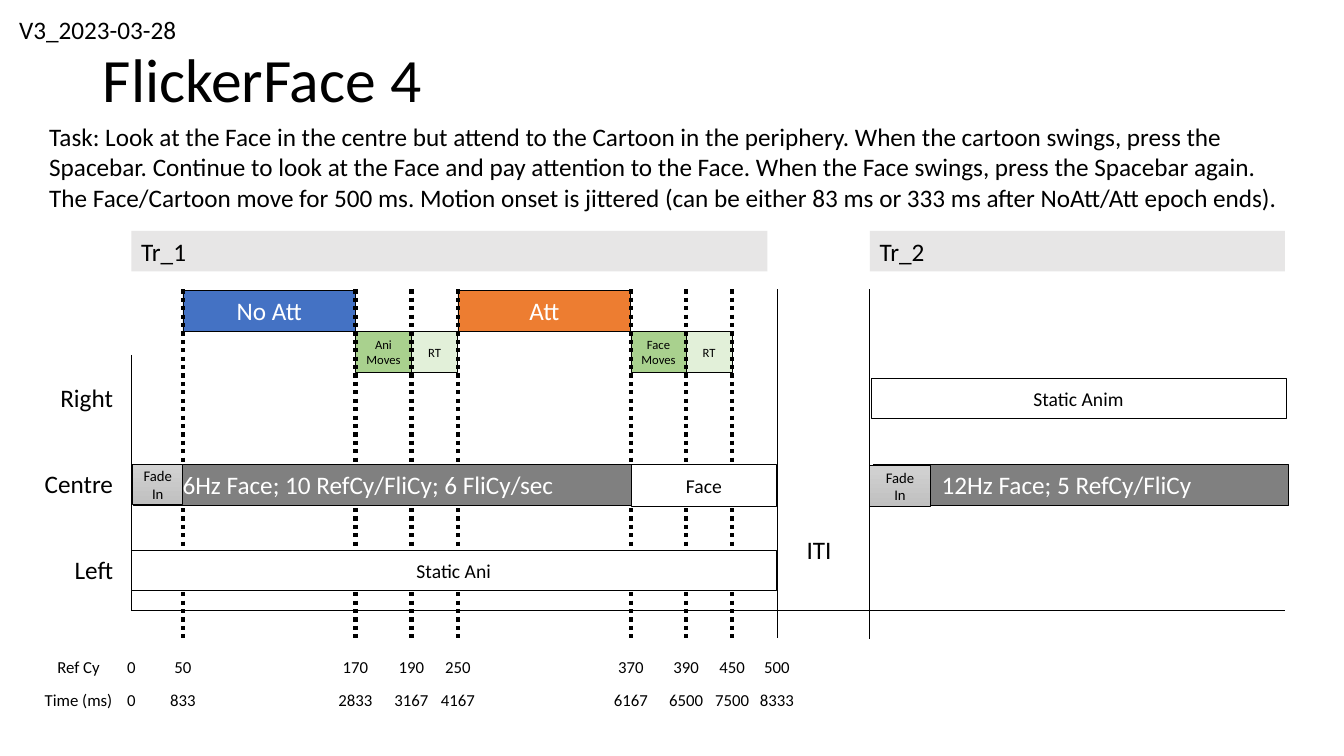
from dataclasses import dataclass

from lxml import etree
from pptx import Presentation
from pptx import util as u
from pptx.dml import color
from pptx.enum import dml, shapes, text
from pptx.oxml import ns


@dataclass(frozen=True)
class Theme:
    font: str = "Calibri"
    ink: str = "000000"
    paper: str = "FFFFFF"
    header: str = "E7E6E6"
    no_attend: str = "4472C4"
    attend: str = "ED7D31"
    moves: str = "A9D18E"
    response: str = "E2F0D9"
    flicker: str = "808080"
    fade: tuple = ("D2D2D2", "C0C0C0")
    title: float = 44
    body: float = 18
    bar: float = 14
    tick: float = 12
    fade_size: float = 10.5
    small: float = 9
    hairline: float = 0.5
    dotted: float = 3


@dataclass(frozen=True)
class Box:
    left: float
    top: float
    width: float
    height: float

    def inner(self, left, top, width, height):
        return Box(self.left + left, self.top + top, width, height)

    def lengths(self):
        return [u.Cm(side) for side in (self.left, self.top, self.width, self.height)]


THEME = Theme()
ALIGN = text.PP_ALIGN
CYCLE_MS = 1000 / 60
BAR_HEIGHT = 1.02
LANES = {"Right": 3.71, "Centre": 5.88, "Left": 8.05}
EPOCHS = {0: 0, 50: 1.3, 170: 5.65, 190: 7.06, 250: 8.23,
          370: 12.59, 390: 13.98, 450: 15.14, 500: 16.27}
TASK = ("Task: Look at the Face in the centre but attend to the Cartoon in the periphery. "
        "When the cartoon swings, press the Spacebar. Continue to look at the Face and pay "
        "attention to the Face. When the Face swings, press the Spacebar again. "
        "The Face/Cartoon move for 500 ms. Motion onset is jittered (can be either 83 ms "
        "or 333 ms after NoAtt/Att epoch ends).")


def rgb(value):
    return color.RGBColor.from_string(value)


def apply(target, values):
    for name, value in values.items():
        setattr(target, name, value)


def write(shape, words, size, ink=THEME.ink, align=ALIGN.CENTER, inset=0.25, right=None):
    frame = shape.text_frame
    apply(frame, {
        "word_wrap": True, "auto_size": text.MSO_AUTO_SIZE.NONE,
        "vertical_anchor": text.MSO_ANCHOR.MIDDLE,
        "margin_left": u.Cm(inset), "margin_right": u.Cm(inset if right is None else right),
        "margin_top": u.Cm(0.13), "margin_bottom": u.Cm(0.13)})
    para = frame.paragraphs[0]
    para.alignment = align
    span = para.add_run()
    span.text = words
    apply(span.font, {"name": THEME.font, "size": u.Pt(size), "bold": False})
    span.font.color.rgb = rgb(ink)
    return para


def label(page, box, words, size=THEME.body, **style):
    write(page.shapes.add_textbox(*box.lengths()), words, size, **style)


def bar(page, box, words, size, fill, outlined=True, **style):
    shape = page.shapes.add_shape(shapes.MSO_SHAPE.RECTANGLE, *box.lengths())
    shape.shadow.inherit = False
    if isinstance(fill, tuple):
        shape.fill.gradient()
        shape.fill.gradient_angle = 270
        for stop, shade in zip(shape.fill.gradient_stops, fill):
            stop.color.rgb = rgb(shade)
    else:
        shape.fill.solid()
        shape.fill.fore_color.rgb = rgb(fill)
    if outlined:
        shape.line.width = u.Pt(THEME.hairline)
        shape.line.color.rgb = rgb(THEME.ink)
    else:
        shape.line.fill.background()
    write(shape, words, size, **style)


def rule(page, box, dotted=False):
    left, top, width, height = box.lengths()
    line = page.shapes.add_connector(
        shapes.MSO_CONNECTOR.STRAIGHT, left, top, left + width, top + height)
    line.line.color.rgb = rgb(THEME.ink)
    line.line.width = u.Pt(THEME.dotted if dotted else THEME.hairline)
    if dotted:
        line.line.dash_style = dml.MSO_LINE.ROUND_DOT
    etree.SubElement(line._element.spPr, ns.qn("a:effectLst"))


def heading(page, box):
    title = page.shapes.title
    left, top, width, height = box.inner(2.34, 0.25, 29.21, 3.68).lengths()
    apply(title, {"left": left, "top": top, "width": width, "height": height})
    write(title, "FlickerFace 4", THEME.title, align=ALIGN.LEFT).line_spacing = 0.9
    label(page, box.inner(0.23, 0.23, 7.34, 1.02), "V3_2023-03-28", align=ALIGN.LEFT)
    label(page, box.inner(0.99, 2.92, 31.9, 2.57), TASK, align=ALIGN.LEFT)


def trial_header(page, box, words):
    bar(page, box.inner(0, 0, box.width, BAR_HEIGHT), words, THEME.body, THEME.header,
        outlined=False, align=ALIGN.LEFT)


def flicker_bar(page, box, words):
    bar(page, box, words, THEME.body, THEME.flicker, ink=THEME.paper, right=0.99)


def fade_bar(page, box):
    bar(page, box, "Fade In", THEME.fade_size, THEME.fade)


def first_trial(page, box):
    trial_header(page, box, "Tr_1")
    epochs = (
        (50, 170, "No Att", THEME.no_attend), (170, 190, "Ani Moves", THEME.moves),
        (190, 250, "RT", THEME.response), (250, 370, "Att", THEME.attend),
        (370, 390, "Face Moves", THEME.moves), (390, 450, "RT", THEME.response))
    for start, end, words, fill in epochs:
        is_cue = fill in (THEME.no_attend, THEME.attend)
        place = box.inner(EPOCHS[start], 1.5 if is_cue else 2.54,
                          EPOCHS[end] - EPOCHS[start], BAR_HEIGHT)
        bar(page, place, words, THEME.body if is_cue else THEME.small, fill,
            ink=THEME.paper if is_cue else THEME.ink, inset=0.1)
    for cycle, left in EPOCHS.items():
        if cycle:
            rule(page, box.inner(left, 1.47, 0, 8.79), dotted=cycle < 500)
    rule(page, box.inner(0, 3.12, 0, 6.43))
    centre = LANES["Centre"]
    flicker_bar(page, box.inner(0.05, centre, 12.57, 1.04),
                "6Hz Face; 10 RefCy/FliCy; 6 FliCy/sec")
    fade_bar(page, box.inner(0.03, centre, 1.27, BAR_HEIGHT))
    bar(page, box.inner(12.61, centre, 3.64, 1.06), "Face", THEME.bar, THEME.paper)
    bar(page, box.inner(0, LANES["Left"], 16.25, BAR_HEIGHT), "Static Ani",
        THEME.bar, THEME.paper)


def second_trial(page, box):
    trial_header(page, box, "Tr_2")
    rule(page, box.inner(0, 1.47, 0, 8.81))
    bar(page, box.inner(0.03, LANES["Right"], box.width, BAR_HEIGHT), "Static Anim",
        THEME.bar, THEME.paper)
    flicker_bar(page, box.inner(0.1, LANES["Centre"], box.width, 1.04),
                "12Hz Face; 5 RefCy/FliCy")
    fade_bar(page, box.inner(0, LANES["Centre"] + 0.03, 1.52, 1.04))


def lanes_and_axis(page, box):
    for words, top in LANES.items():
        label(page, box.inner(-2.78, top - 0.03, 2.57, BAR_HEIGHT), words, align=ALIGN.RIGHT)
    rule(page, box.inner(0, 9.55, box.width, 0))
    label(page, box.inner(16.73, 7.52, 1.2, BAR_HEIGHT), "ITI", inset=0.1)


def scale(page, box):
    rows = (("Ref Cy", 1), ("Time (ms)", CYCLE_MS))
    for row, (words, factor) in enumerate(rows):
        top = row * 0.83
        label(page, box.inner(-2.45, top, 2.24, 0.76), words, THEME.tick, inset=0.1)
        for cycle, left in EPOCHS.items():
            label(page, box.inner(left - 0.9, top, 1.8, 0.76), str(round(cycle * factor)),
                  THEME.tick, inset=0.1)


def main():
    deck = Presentation()
    deck.slide_width, deck.slide_height = u.Cm(33.87), u.Cm(19.05)
    page = deck.slides.add_slide(deck.slide_layouts[5])
    heading(page, Box(0, 0, 33.87, 5.6))
    lanes_and_axis(page, Box(3.31, 5.82, 29.07, 10.28))
    first_trial(page, Box(3.31, 5.82, 16.03, 10.28))
    second_trial(page, Box(21.92, 5.82, 10.46, 10.28))
    scale(page, Box(3.31, 16.43, 16.27, 1.6))
    deck.save("out.pptx")


main()
